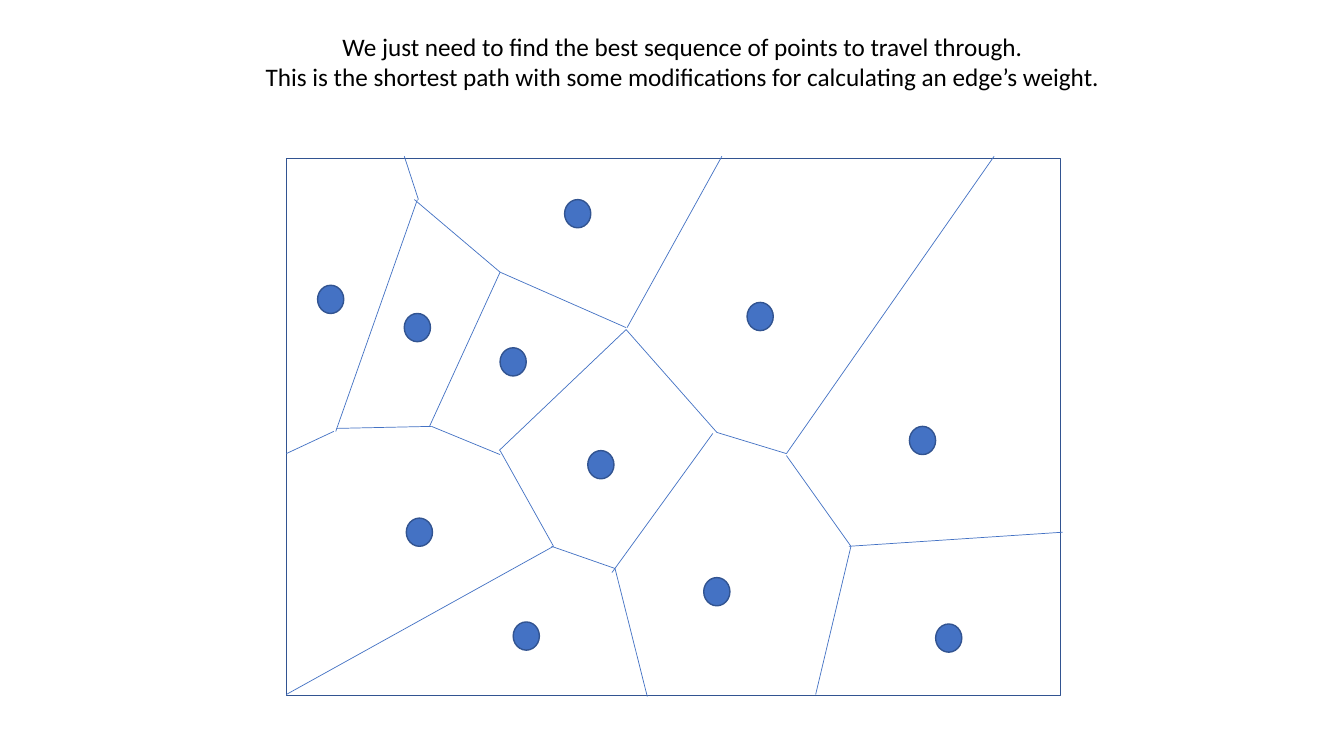
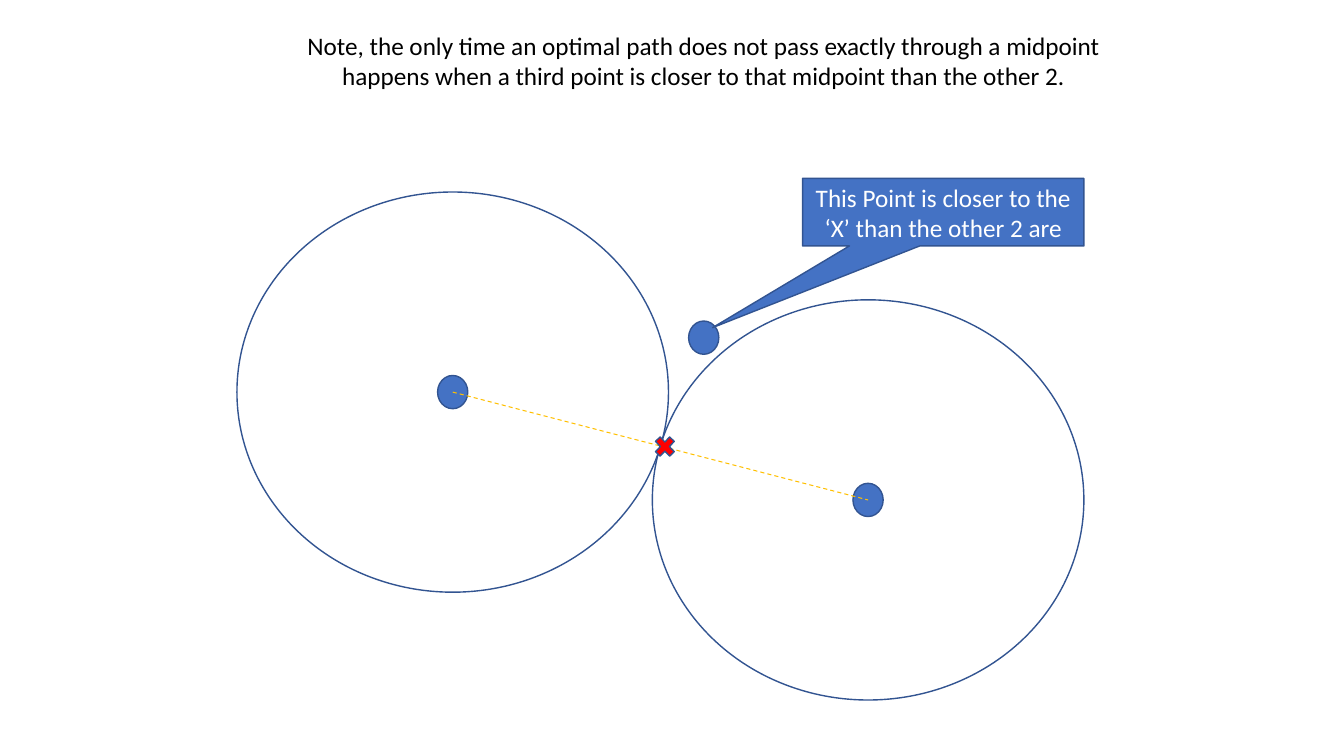
from dataclasses import dataclass
from typing import NamedTuple, Optional

from pptx import Presentation
from pptx.dml.color import RGBColor
from pptx.enum import dml, shapes, text
from pptx.oxml import xmlchemy
from pptx.util import Inches, Pt

Kind = shapes.MSO_SHAPE


@dataclass(frozen=True)
class Theme:
    font: str = "Calibri"
    text_size: float = 18
    outline_width: float = 1
    edge_width: float = 0.5
    link_width: float = 0.75
    black: RGBColor = RGBColor(0x00, 0x00, 0x00)
    white: RGBColor = RGBColor(0xFF, 0xFF, 0xFF)
    blue: RGBColor = RGBColor(0x44, 0x72, 0xC4)
    outline: RGBColor = RGBColor(0x32, 0x54, 0x91)
    gold: RGBColor = RGBColor(0xFF, 0xC0, 0x00)
    red: RGBColor = RGBColor(0xFF, 0x00, 0x00)


class Box(NamedTuple):
    left: float
    top: float
    width: float
    height: float

    def lengths(self):
        return [Inches(value) for value in self]


class Point(NamedTuple):
    x: float
    y: float

    def box(self, width: float, height: float) -> Box:
        """Box of the given size centred on this point."""
        return Box(self.x - width / 2, self.y - height / 2, width, height)


class Edge(NamedTuple):
    start: Point
    end: Point


THEME = Theme()

# Voronoi diagram
FRAME = Box(2.84, 1.57, 7.68, 5.33)
SITE_SIZE = (0.26, 0.28)
SITES = [
    Point(5.73, 2.12), Point(5.09, 3.59), Point(5.96, 4.61), Point(9.15, 4.37),
    Point(9.41, 6.33), Point(7.54, 3.14), Point(4.16, 5.28), Point(7.11, 5.87),
    Point(5.22, 6.31), Point(3.28, 2.97), Point(4.14, 3.25),
]
EDGES = [
    Edge(Point(5.49, 5.42), Point(2.84, 6.89)),
    Edge(Point(5.49, 5.42), Point(4.96, 4.47)),
    Edge(Point(4.96, 4.51), Point(4.28, 4.23)),
    Edge(Point(4.96, 2.7), Point(4.26, 4.23)),
    Edge(Point(3.31, 4.28), Point(2.84, 4.5)),
    Edge(Point(4.28, 4.23), Point(3.34, 4.25)),
    Edge(Point(3.33, 4.28), Point(4.14, 1.98)),
    Edge(Point(4.11, 1.98), Point(4.96, 2.7)),
    Edge(Point(4.96, 2.7), Point(6.21, 3.25)),
    Edge(Point(4.95, 4.47), Point(6.21, 3.27)),
    Edge(Point(5.47, 5.42), Point(6.1, 5.64)),
    Edge(Point(6.21, 3.27), Point(7.11, 4.29)),
    Edge(Point(6.1, 5.64), Point(6.42, 6.91)),
    Edge(Point(6.07, 5.68), Point(7.07, 4.3)),
    Edge(Point(7.11, 4.29), Point(7.8, 4.5)),
    Edge(Point(7.8, 4.52), Point(8.44, 5.42)),
    Edge(Point(8.42, 5.42), Point(10.54, 5.28)),
    Edge(Point(8.44, 5.42), Point(8.09, 6.89)),
    Edge(Point(7.8, 4.5), Point(9.86, 1.55)),
    Edge(Point(6.22, 3.25), Point(7.16, 1.55)),
    Edge(Point(4.15, 1.98), Point(4.01, 1.55)),
]

# Two points, their circles and the closer third point
CENTRES = Edge(Point(4.49, 3.89), Point(8.61, 4.96))
THIRD_POINT = Point(6.98, 3.35)
POINT_SIZE = (0.3, 0.33)
CIRCLE_SIZE = (4.28, 3.97)
CROSS = Box(6.46, 4.29, 0.27, 0.28)
CALLOUT = Box(7.96, 1.77, 2.79, 0.67)
CALLOUT_TIP = (-0.82, 1.71)


def write(frame, lines: list[str], color: RGBColor) -> None:
    """Fill a text frame with centred paragraphs."""
    frame.word_wrap = True
    for index, line in enumerate(lines):
        para = frame.paragraphs[0] if index == 0 else frame.add_paragraph()
        para.alignment = text.PP_ALIGN.CENTER
        span = para.add_run()
        span.text = line
        span.font.name = THEME.font
        span.font.size = Pt(THEME.text_size)
        span.font.color.rgb = color


def add_title(page, box: Box, lines: list[str]) -> None:
    title = page.shapes.add_textbox(*box.lengths())
    title.text_frame.auto_size = text.MSO_AUTO_SIZE.SHAPE_TO_FIT_TEXT
    write(title.text_frame, lines, THEME.black)


def add_figure(page, kind: Kind, box: Box, fill: Optional[RGBColor]):
    """Outlined preset shape; no fill when fill is None."""
    figure = page.shapes.add_shape(kind, *box.lengths())
    figure.shadow.inherit = False
    if fill is None:
        figure.fill.background()
    else:
        figure.fill.solid()
        figure.fill.fore_color.rgb = fill
    figure.line.color.rgb = THEME.outline
    figure.line.width = Pt(THEME.outline_width)
    return figure


def add_edge(page, edge: Edge, color: RGBColor, width: float,
             dash: Optional[dml.MSO_LINE] = None) -> None:
    ends = [Inches(value) for point in edge for value in point]
    line = page.shapes.add_connector(shapes.MSO_CONNECTOR.STRAIGHT, *ends)
    line.line.color.rgb = color
    line.line.width = Pt(width)
    if dash is not None:
        line.line.dash_style = dash
    properties = line._element.spPr
    properties.append(properties.makeelement(xmlchemy.qn("a:effectLst"), {}))


def draw_voronoi(page) -> None:
    add_figure(page, Kind.RECTANGLE, FRAME, THEME.white)
    for site in SITES:
        add_figure(page, Kind.OVAL, site.box(*SITE_SIZE), THEME.blue)
    add_title(page, Box(1.16, 0.26, 11.22, 0.71), [
        "We just need to find the best sequence of points to travel through.",
        "This is the shortest path with some modifications for calculating an edge’s weight.",
    ])
    for edge in EDGES:
        add_edge(page, edge, THEME.blue, THEME.edge_width)


def draw_midpoint(page) -> None:
    add_title(page, Box(2.78, 0.25, 8.4, 0.71), [
        "Note, the only time an optimal path does not pass exactly through a midpoint "
        "happens when a third point is closer to that midpoint than the other 2.",
    ])
    for point in (*CENTRES, THIRD_POINT):
        add_figure(page, Kind.OVAL, point.box(*POINT_SIZE), THEME.blue)
    for centre in CENTRES:
        add_figure(page, Kind.OVAL, centre.box(*CIRCLE_SIZE), None)
    add_edge(page, CENTRES, THEME.gold, THEME.link_width, dml.MSO_LINE.DASH)
    add_figure(page, Kind.MATH_MULTIPLY, CROSS, THEME.red)

    # Callout pointing at the third point
    callout = add_figure(page, Kind.RECTANGULAR_CALLOUT, CALLOUT, THEME.blue)
    for index, value in enumerate(CALLOUT_TIP):
        callout.adjustments[index] = value
    callout.text_frame.vertical_anchor = text.MSO_ANCHOR.MIDDLE
    write(callout.text_frame,
          ["This Point is closer to the ‘X’ than the other 2 are"], THEME.white)


def main() -> None:
    deck = Presentation()
    deck.slide_width, deck.slide_height = Inches(13.33), Inches(7.5)
    blank = deck.slide_layouts[6]
    for draw in (draw_voronoi, draw_midpoint):
        draw(deck.slides.add_slide(blank))
    deck.save("out.pptx")


if __name__ == "__main__":
    main()
